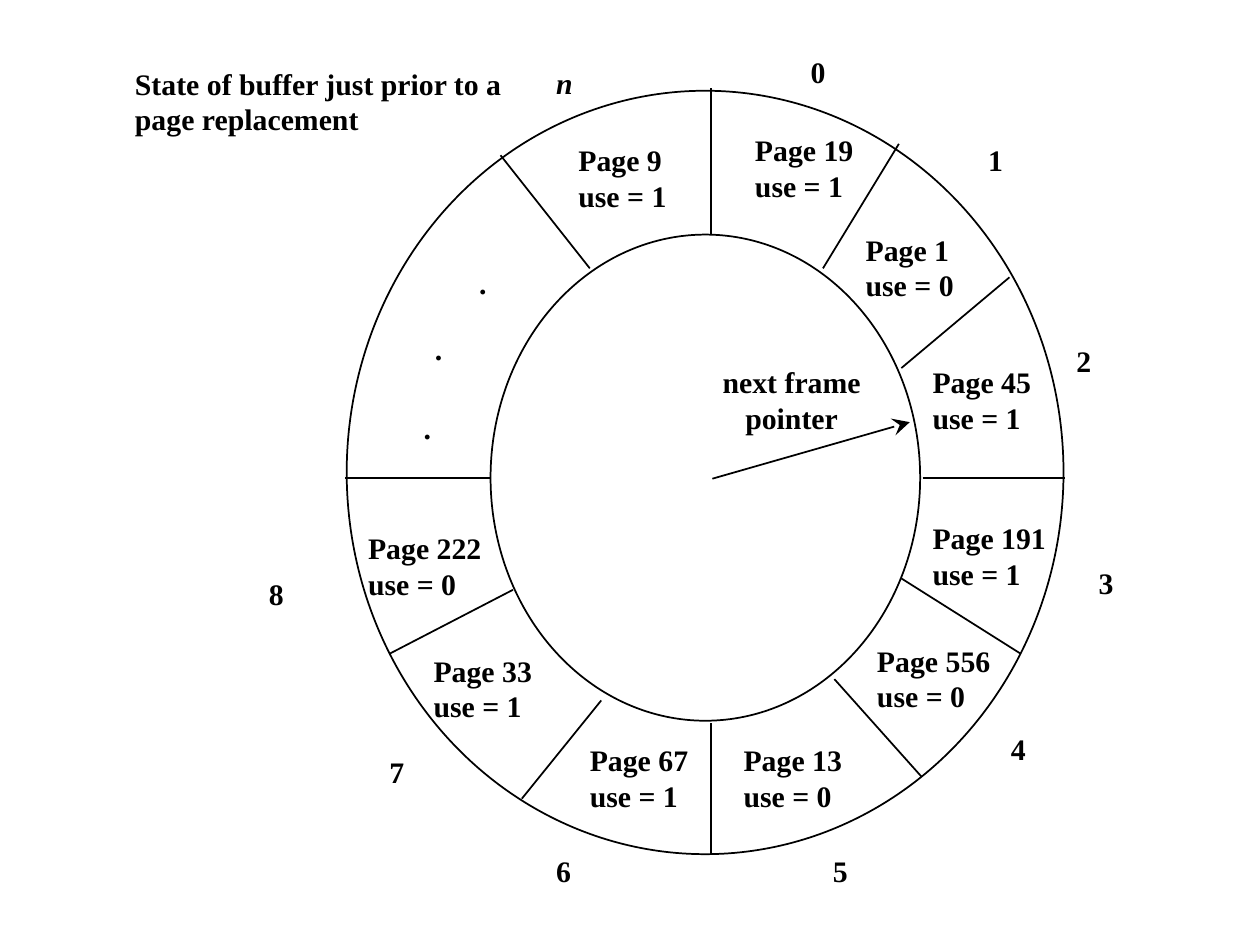
from lxml import etree
from pptx import Presentation
from pptx.dml.color import RGBColor
from pptx.enum.shapes import MSO_CONNECTOR, MSO_SHAPE
from pptx.enum.text import MSO_ANCHOR, MSO_AUTO_SIZE, PP_ALIGN
from pptx.oxml.ns import qn
from pptx.util import Cm, Pt

STRAIGHT = MSO_CONNECTOR.STRAIGHT
ELLIPSE = MSO_SHAPE.OVAL
TOP = MSO_ANCHOR.TOP
NO_FIT = MSO_AUTO_SIZE.NONE
LEFT, CENTER = PP_ALIGN.LEFT, PP_ALIGN.CENTER

FONT = "Times New Roman"
INK = "000000"
LINE_HEIGHT = 0.72
LABEL_WIDTH = 0.4
PAGE_WIDTH = 2.4

TITLE_BOX = (2.72, 1.32, 7.9, 2 * LINE_HEIGHT)
RING_BOX = (6.99, 1.83, 14.45, 15.39)
HOLE_BOX = (2.9, 2.9, 8.66, 9.8)

# Frame label, label position, page number, use bit, page position
FRAMES = [
    ("0", (9.35, -0.74), 19, 1, (8.23, 0.84)),
    ("1", (12.93, 1.04), 1, 0, (10.46, 2.84)),
    ("2", (14.71, 5.08), 45, 1, (11.81, 5.51)),
    ("3", (15.16, 9.55), 191, 1, (11.81, 8.66)),
    ("4", (13.39, 12.9), 556, 0, (10.69, 11.13)),
    ("5", (9.8, 15.37), 13, 0, (8, 13.13)),
    ("6", (4.22, 15.37), 67, 1, (4.9, 13.13)),
    ("7", (0.86, 13.36), 33, 1, (1.75, 11.33)),
    ("8", (-1.57, 9.78), 222, 0, (0.43, 8.86)),
    ("n", (4.22, -0.51), 9, 1, (4.67, 1.04)),
]
DIVIDERS = [
    ((7.34, 2.9), (7.34, -0.05)),
    ((9.6, 3.58), (11.13, 1.07)),
    ((11.18, 5.59), (13.36, 3.76)),
    ((11.61, 7.8), (14.48, 7.8)),
    ((11.18, 9.83), (13.59, 11.35)),
    ((9.83, 11.86), (11.58, 13.82)),
    ((7.34, 12.75), (7.34, 15.39)),
    ((5.13, 12.29), (3.53, 14.27)),
    ((3.35, 10.06), (0.86, 11.35)),
    ((2.9, 7.8), (-0.03, 7.8)),
    ((4.9, 3.58), (3.1, 1.3)),
]
DOTS = [(2.67, 3.51), (1.78, 4.85), (1.55, 6.43)]


def colour(value):
    """Turn a hex string into a colour."""
    return RGBColor.from_string(value)


def within(box, place):
    """Shift a position by the corner of the box that holds it."""
    return box[0] + place[0], box[1] + place[1]


def write(frame, lines, align=LEFT, italic=False):
    """Fill a text frame with one bold paragraph for each line."""
    frame.auto_size = NO_FIT
    frame.word_wrap = True
    frame.vertical_anchor = TOP
    frame.margin_left = frame.margin_right = 0
    frame.margin_top = frame.margin_bottom = 0
    for index, line in enumerate(lines):
        para = frame.add_paragraph() if index else frame.paragraphs[0]
        para.alignment = align
        para.line_spacing = Pt(20.3)
        para.space_before = Pt(0)
        span = para.add_run()
        span.text = line
        span.font.name = FONT
        span.font.size = Pt(17)
        span.font.bold = True
        span.font.italic = italic
        span.font.color.rgb = colour(INK)


def add_text(page, place, width, lines, **style):
    """Add a text box as tall as its lines."""
    height = LINE_HEIGHT * len(lines)
    box = page.shapes.add_textbox(*map(Cm, (*place, width, height)))
    write(box.text_frame, lines, **style)


def add_ellipse(page, box):
    """Add an unfilled ellipse."""
    ellipse = page.shapes.add_shape(ELLIPSE, *map(Cm, box))
    ellipse.shadow.inherit = False
    ellipse.fill.background()
    ellipse.line.color.rgb = colour(INK)
    ellipse.line.width = Pt(1)


def add_line(page, start, end, arrow=False):
    """Add a straight line, with an arrowhead at its end if wanted."""
    line = page.shapes.add_connector(STRAIGHT, *map(Cm, (*start, *end)))
    line.line.color.rgb = colour(INK)
    line.line.width = Pt(1)
    if arrow:
        head = etree.SubElement(line.line._get_or_add_ln(), qn("a:tailEnd"))
        head.set("type", "stealth")
        head.set("w", "lg")
        head.set("len", "lg")
    etree.SubElement(line._element.spPr, qn("a:effectLst"))


def place_title(page, box):
    """Move and fill the title placeholder."""
    title = page.shapes.title
    title.left, title.top, title.width, title.height = map(Cm, box)
    write(title.text_frame, ["State of buffer just prior to a page replacement"])


def draw_ring(page, box):
    """Draw the ring of page frames with its dividers and labels."""
    add_ellipse(page, box)
    add_ellipse(page, (*within(box, HOLE_BOX), *HOLE_BOX[2:]))
    for start, end in DIVIDERS:
        add_line(page, within(box, start), within(box, end))
    for label, label_place, number, use, page_place in FRAMES:
        add_text(page, within(box, label_place), LABEL_WIDTH, [label],
                 italic=label == "n")
        add_text(page, within(box, page_place), PAGE_WIDTH,
                 [f"Page {number}", f"use = {use}"])
    for dot in DOTS:
        add_text(page, within(box, dot), LABEL_WIDTH, ["."])


def draw_pointer(page, box):
    """Draw the next frame pointer and its caption inside the ring."""
    add_line(page, within(box, (7.37, 7.82)), within(box, (11.35, 6.68)),
             arrow=True)
    add_text(page, within(box, (7.52, 5.51)), 2.9, ["next frame", "pointer"],
             align=CENTER)


def main():
    """Build the slide and save it."""
    deck = Presentation()
    deck.slide_width, deck.slide_height = Cm(25.4), Cm(19.05)
    page = deck.slides.add_slide(deck.slide_layouts.get_by_name("Title Only"))
    place_title(page, TITLE_BOX)
    draw_ring(page, RING_BOX)
    draw_pointer(page, RING_BOX)
    deck.save("out.pptx")


if __name__ == "__main__":
    main()
